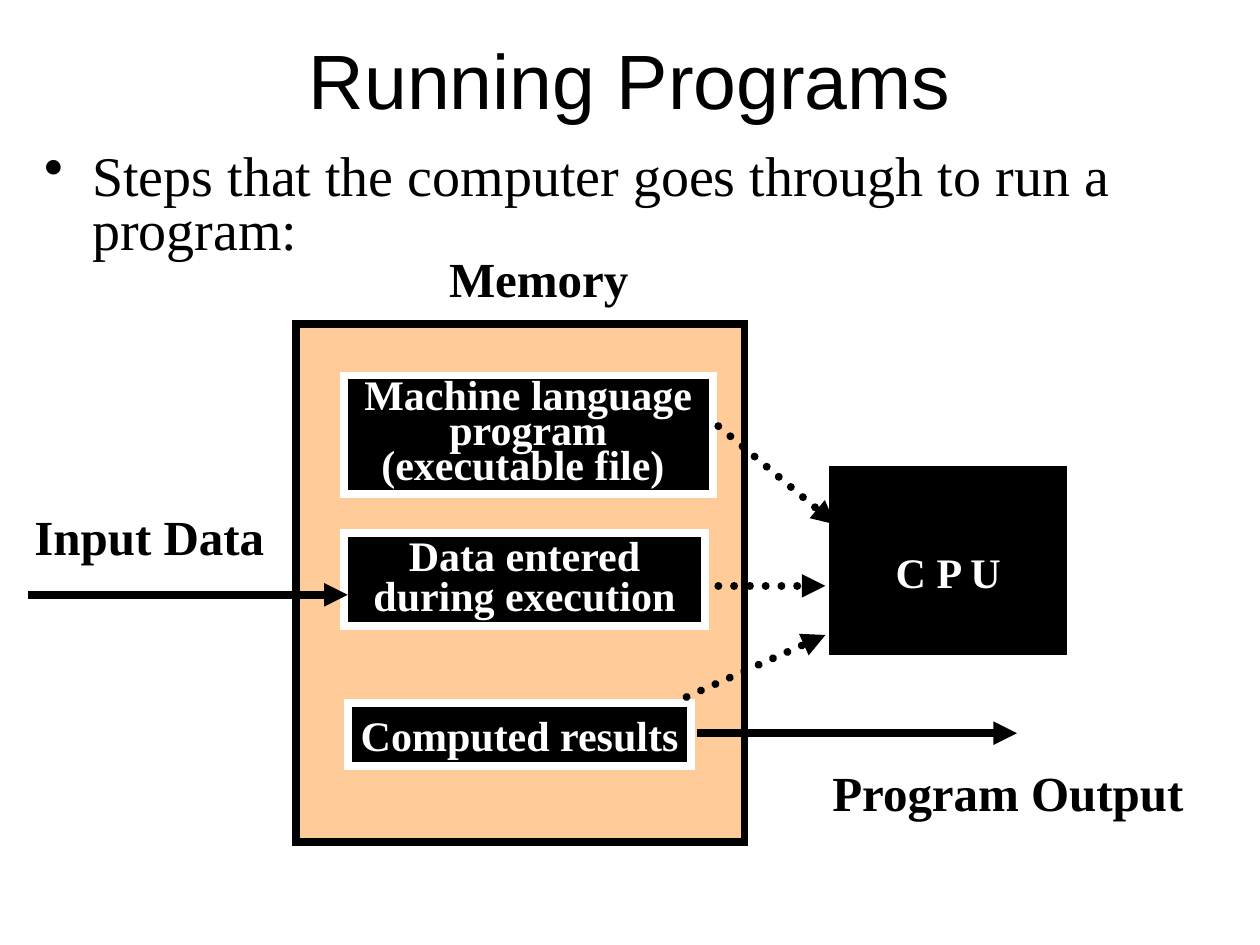
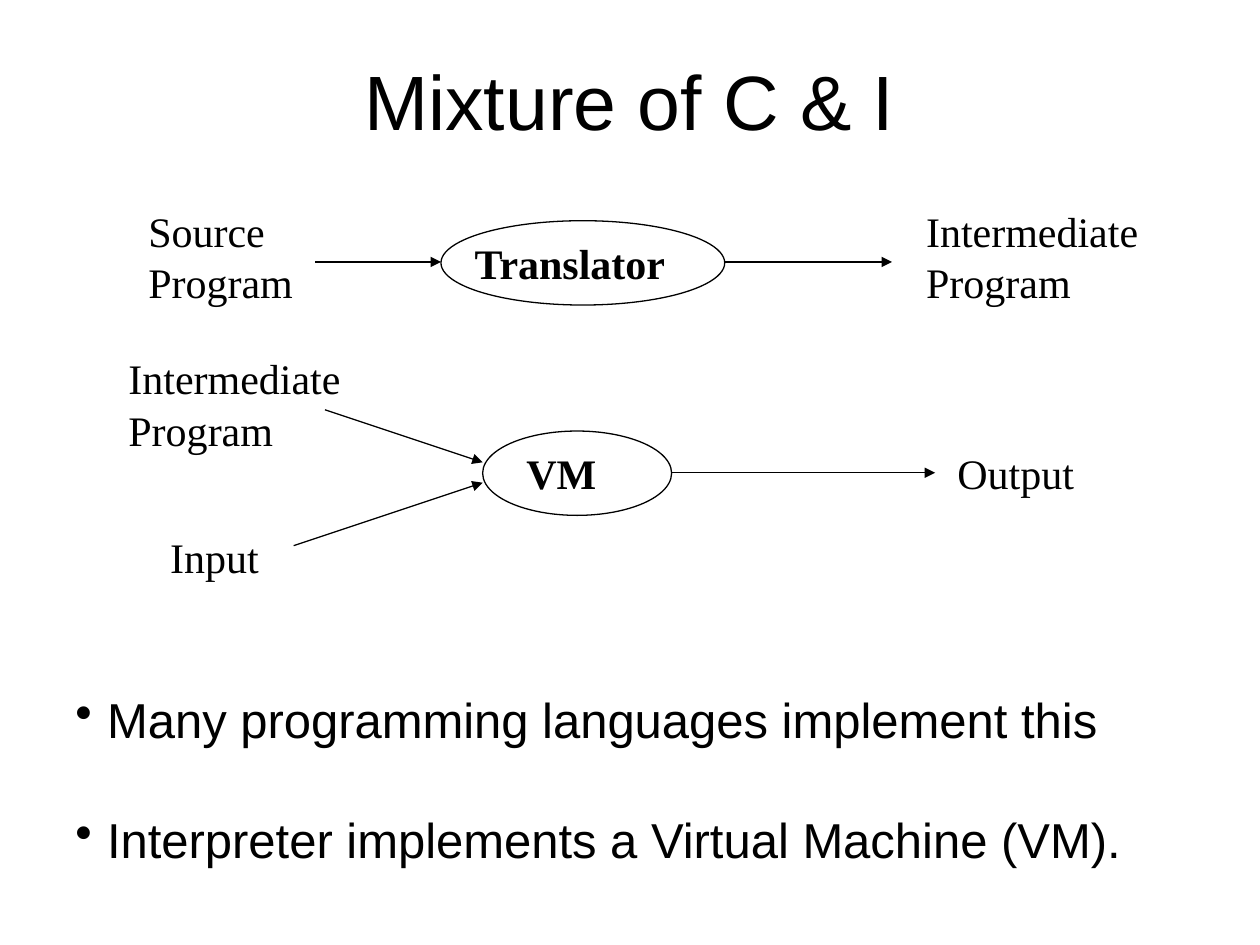
from lxml import etree
from pptx import Presentation
from pptx import util as u
from pptx.dml import color
from pptx.enum import dml, shapes, text
from pptx.oxml import ns

BLACK, WHITE, PEACH = "000000", "FFFFFF", "FFCC99"
SANS, SERIF = "Arial", "Times New Roman"
THICK, THIN = 4.5, 0.75
LEFT, CENTER = text.PP_ALIGN.LEFT, text.PP_ALIGN.CENTER
TOP, MIDDLE = text.MSO_ANCHOR.TOP, text.MSO_ANCHOR.MIDDLE


def paint(target, hex_string):
    """Give a fill or a font a solid colour."""
    if hasattr(target, "solid"):
        target.solid()
        target = target.fore_color
    else:
        target = target.color
    target.rgb = color.RGBColor.from_string(hex_string)


def add_node(parent, tag, **attributes):
    """Append a DrawingML element to a parent element."""
    return etree.SubElement(parent, ns.qn(tag), attributes)


def write(shape, content, font=SERIF, size=24, bold=False, ink=BLACK, align=LEFT,
          anchor=TOP, wrap=True, spacing=None, before=0, indent=None, top=0.13):
    """Write one paragraph per line of content into a shape."""
    frame = shape.text_frame
    frame.word_wrap, frame.vertical_anchor = wrap, anchor
    frame.margin_left = frame.margin_right = u.Cm(0.25)
    frame.margin_top, frame.margin_bottom = u.Cm(top), u.Cm(0.13)
    frame.text = content
    for paragraph in frame.paragraphs:
        paragraph.alignment = align
        paragraph.space_before = u.Pt(before)
        if spacing:
            paragraph.line_spacing = spacing
        for run in paragraph.runs:
            run.font.name, run.font.size, run.font.bold = font, u.Pt(size), bold
            paint(run.font, ink)
        if indent:
            properties = paragraph._p.get_or_add_pPr()
            properties.set("marL", str(u.Cm(indent)))
            properties.set("indent", str(-u.Cm(indent)))
            add_node(properties, "a:buChar", char="•")


class Deck:
    """Hold the shared style and the current slide."""

    def __init__(self):
        """Start an empty 4:3 presentation."""
        self.presentation = Presentation()
        self.presentation.slide_width = u.Cm(25.4)
        self.presentation.slide_height = u.Cm(19.05)
        self.slide = None

    def new_slide(self, title, *box):
        """Add a blank slide with a centred title."""
        self.slide = self.presentation.slides.add_slide(self.presentation.slide_layouts[6])
        paint(self.slide.background.fill, WHITE)
        self.label(title, *box, font=SANS, size=44, align=CENTER, anchor=MIDDLE)

    def label(self, content, *box, **style):
        """Add a text box."""
        write(self.slide.shapes.add_textbox(*map(u.Cm, box)), content, **style)

    def caption(self, content, *box):
        """Add a large bold centred label."""
        self.label(content, *box, size=28, bold=True, align=CENTER, anchor=MIDDLE, wrap=False)

    def outline(self, kind, box, line, width, fill=None):
        """Add a preset shape with a line and an optional fill."""
        shape = self.slide.shapes.add_shape(kind, *map(u.Cm, box))
        shape.shadow.inherit = False
        if fill:
            paint(shape.fill, fill)
        else:
            shape.fill.background()
        paint(shape.line.fill, line)
        shape.line.width = u.Pt(width)
        add_node(shape.element.spPr.find(ns.qn("a:ln")), "a:miter", lim="800000")
        return shape

    def block(self, content, *box, **style):
        """Add a black box with a white frame and white bold text."""
        shape = self.outline(shapes.MSO_SHAPE.RECTANGLE, box, WHITE, THICK, BLACK)
        write(shape, content, bold=True, ink=WHITE, align=CENTER, anchor=MIDDLE, **style)

    def ellipse(self, *box):
        """Add an unfilled ellipse with a thin line."""
        self.outline(shapes.MSO_SHAPE.OVAL, box, BLACK, THIN)

    def arrow(self, *ends, width=THIN, dotted=False):
        """Add a straight arrow from one point to another."""
        connector = self.slide.shapes.add_connector(
            shapes.MSO_CONNECTOR.STRAIGHT, *map(u.Cm, ends))
        paint(connector.line.fill, BLACK)
        connector.line.width = u.Pt(width)
        properties = connector.element.spPr
        line = properties.find(ns.qn("a:ln"))
        if dotted:
            connector.line.dash_style = dml.MSO_LINE.ROUND_DOT
            line.set("cap", "rnd")
        add_node(line, "a:tailEnd", type="triangle")
        add_node(properties, "a:effectLst")


def running_programs(deck):
    """Build the slide on memory and the CPU."""
    deck.new_slide("Running Programs", 1.27, 0, 22.86, 3.18)
    deck.caption("Memory", 8.79, 4.88, 4.14, 1.45)
    deck.caption("Input Data", 0.43, 10.08, 5.16, 1.45)
    deck.caption("Program Output", 16.51, 15.24, 7.62, 1.45)

    memory = (5.97, 6.53, 9.04, 10.44)
    deck.outline(shapes.MSO_SHAPE.RECTANGLE, memory, BLACK, THICK, PEACH)
    deck.block("Machine language program (executable file) ",
               6.93, 7.57, 7.44, 2.39, spacing=0.7)
    deck.block("Data entered during execution", 6.93, 10.74, 7.29, 1.88, spacing=0.8)
    deck.block("Computed results", 7.01, 14.17, 6.93, 1.27, wrap=False)
    deck.block("C P U", 16.64, 9.32, 4.95, 3.96, top=0.6)

    deck.arrow(0.56, 11.99, 7.01, 11.99, width=THICK)
    deck.arrow(14.05, 14.78, 20.5, 14.78, width=THICK)
    for to_cpu in ((14.48, 8.59, 16.84, 10.57),
                   (14.48, 11.81, 16.64, 11.81),
                   (13.84, 14.05, 16.64, 12.8)):
        deck.arrow(*to_cpu, width=THICK, dotted=True)
    deck.label("Steps that the computer goes through to run a program:",
               0.64, 2.97, 23.93, 2.41, size=32, spacing=0.8, indent=0.97)


def mixture(deck):
    """Build the slide on compiling to an intermediate program."""
    deck.new_slide("Mixture of C & I", 1.9, 0.84, 21.59, 2.34)
    for content, left, top, width in (("Source\nProgram", 2.74, 4.45, 3.81),
                                      ("Intermediate\nProgram", 18.42, 4.45, 5.08),
                                      ("Intermediate\nProgram", 2.34, 7.42, 5.72)):
        deck.label(content, left, top, width, 1.8, spacing=0.5, before=15)
    for content, left, top, width, bold in (("Translator", 9.32, 4.65, 4.65, True),
                                            ("VM", 10.36, 8.89, 2.54, True),
                                            ("Input", 3.18, 10.59, 2.54, False),
                                            ("Output", 19.05, 8.89, 2.97, False)):
        deck.label(content, left, top, width, 1.27, bold=bold)

    deck.ellipse(8.89, 4.45, 5.72, 1.7)
    deck.ellipse(9.73, 8.69, 3.81, 1.7)
    for ends in ((6.35, 5.28, 8.89, 5.28),
                 (14.61, 5.28, 17.98, 5.28),
                 (6.55, 8.26, 9.73, 9.32),
                 (13.54, 9.53, 18.85, 9.53),
                 (5.92, 11, 9.73, 9.73)):
        deck.arrow(*ends)
    deck.label("Many programming languages implement this\n"
               "Interpreter implements a Virtual Machine (VM).",
               1.27, 13.77, 23.06, 3.81, font=SANS, size=28, before=35, indent=0.64)


def main():
    """Build and save the presentation."""
    deck = Deck()
    running_programs(deck)
    mixture(deck)
    deck.presentation.save("out.pptx")


if __name__ == "__main__":
    main()
